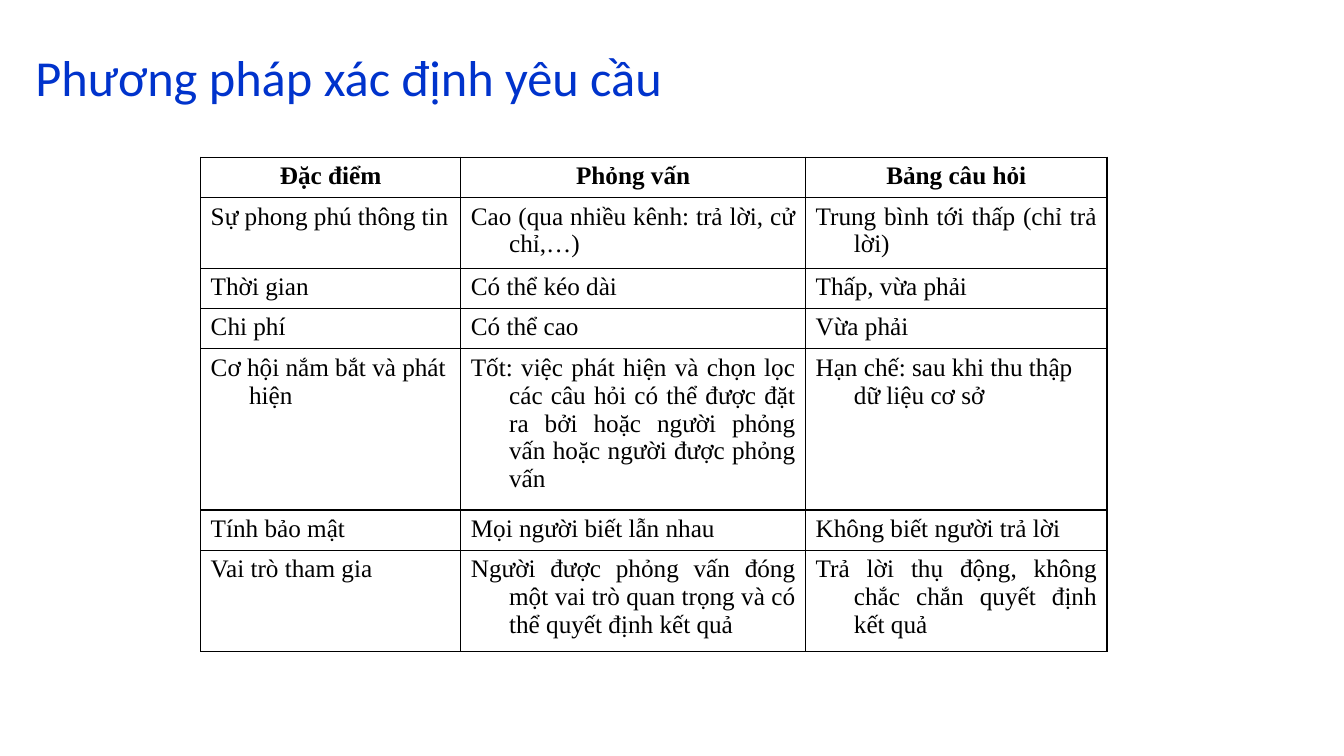
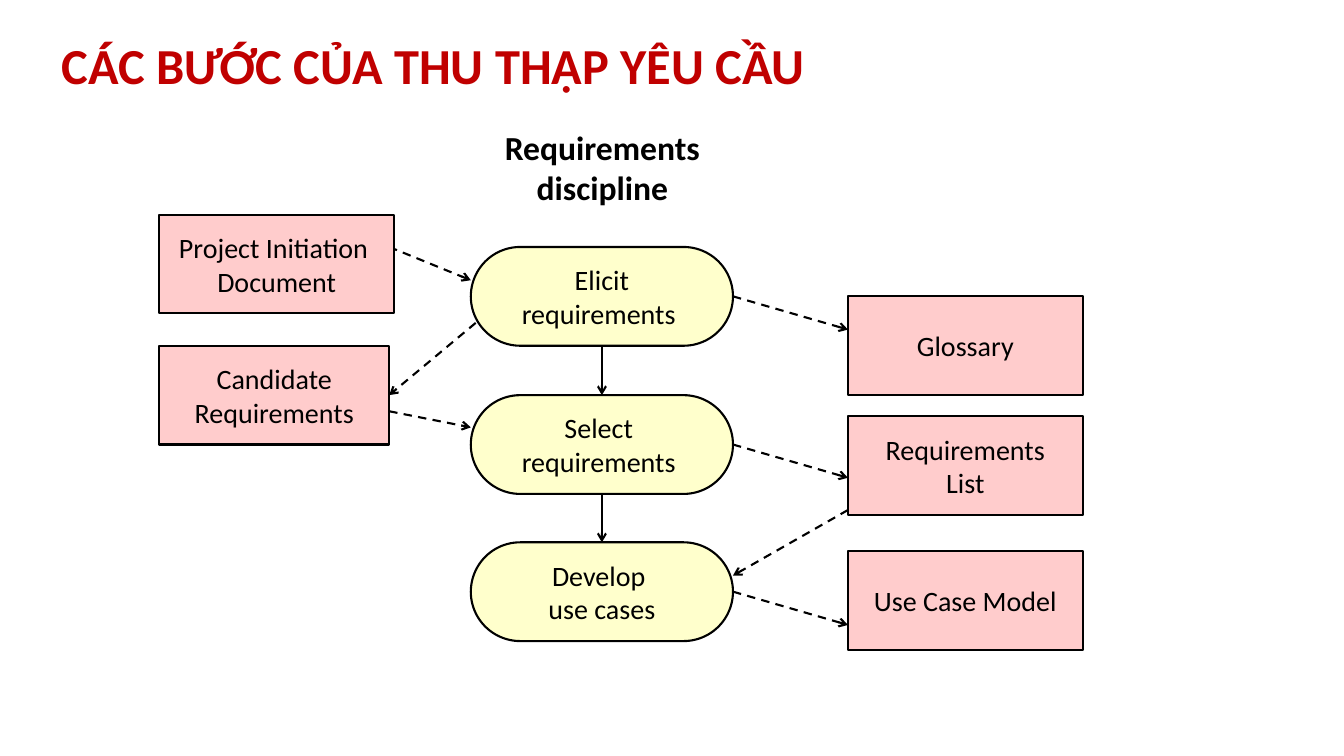
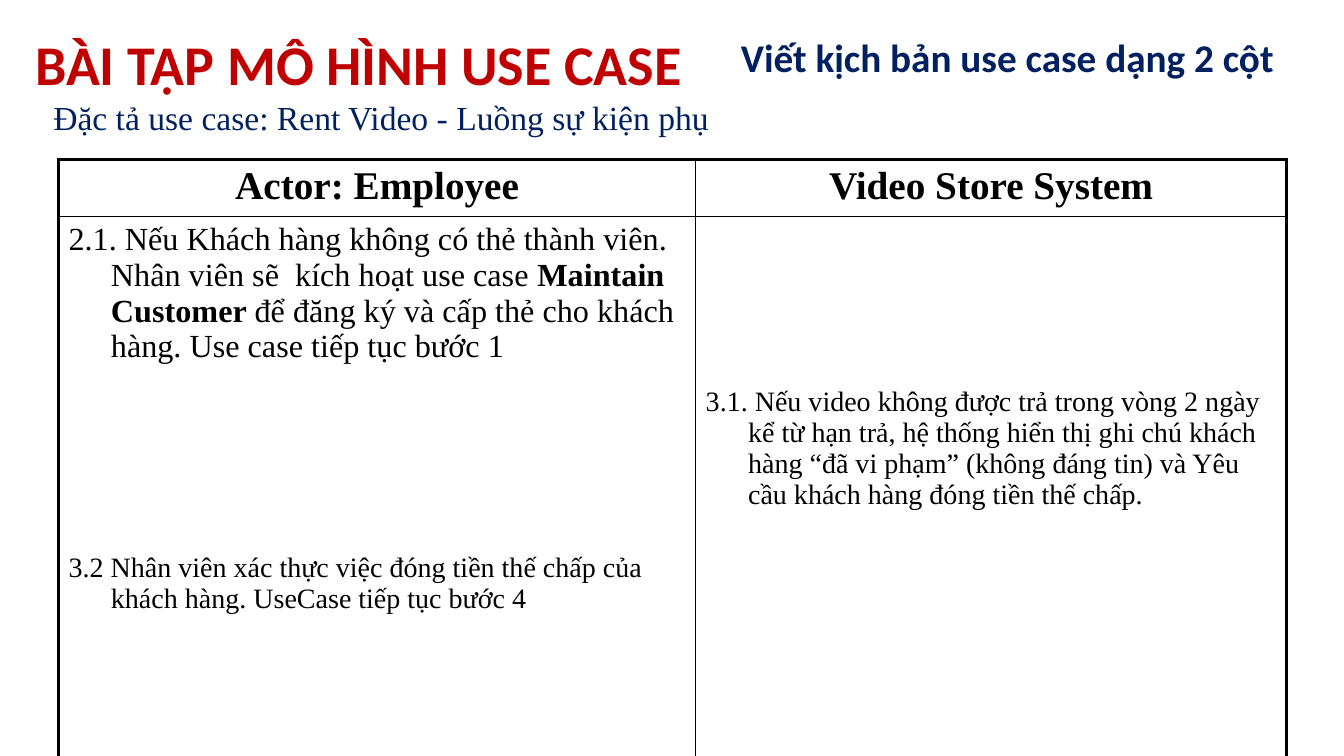
from lxml.etree import SubElement
from pptx import Presentation
from pptx.dml.color import RGBColor
from pptx.enum.dml import MSO_LINE
from pptx.enum.shapes import MSO_CONNECTOR, MSO_SHAPE
from pptx.enum.text import MSO_ANCHOR as ANCHOR, MSO_AUTO_SIZE, PP_ALIGN as ALIGN
from pptx.oxml import parse_xml
from pptx.oxml.ns import nsdecls, qn
from pptx.util import Inches, Pt

COLORS = {"blue": "0033CC", "red": "C00000", "navy": "002060", "black": "000000",
          "pink": "FFCCCC", "yellow": "FFFFCC"}
SANS, SERIF = "Calibri", "Times New Roman"


def rgb(name):
    return RGBColor.from_string(COLORS[name])


class Deck:
    """Holds the shared style and the current slide."""

    def __init__(self):
        self.prs = Presentation()
        self.prs.slide_width, self.prs.slide_height = Inches(13.33), Inches(7.5)
        self.slide = None

    def add_text(self, tf, paras, size, color="black", font=SANS, bold=False,
                 align=ALIGN.LEFT, indent=0, spacing=None):
        """Each paragraph is a string or a list of (text, bold) runs."""
        for i, runs in enumerate(paras):
            p = tf.paragraphs[0] if i == 0 else tf.add_paragraph()
            p.alignment = align
            if spacing:
                p.line_spacing = spacing
            if indent:
                pPr = p._p.get_or_add_pPr()
                pPr.set("marL", str(Inches(indent)))
                pPr.set("indent", str(-Inches(indent)))
            for text, strong in [(runs, bold)] if isinstance(runs, str) else runs:
                r = p.add_run()
                r.text = text
                r.font.size, r.font.name, r.font.bold = Pt(size), font, strong
                r.font.color.rgb = rgb(color)

    def new_slide(self, title, x, y, w, color="red", size=36, bold=True):
        self.slide = self.prs.slides.add_slide(self.prs.slide_layouts[5])
        sp = self.slide.shapes.title
        sp.left, sp.top, sp.width, sp.height = map(Inches, (x, y, w, 1))
        tf = sp.text_frame
        tf.word_wrap, tf.auto_size = True, MSO_AUTO_SIZE.NONE
        tf.vertical_anchor = ANCHOR.BOTTOM
        self.add_text(tf, [title], size, color, bold=bold, spacing=0.9)

    def text(self, paras, x, y, w, h, size, wrap=True, anchor=ANCHOR.MIDDLE, **style):
        sp = self.slide.shapes.add_textbox(*map(Inches, (x, y, w, h)))
        tf = sp.text_frame
        tf.word_wrap, tf.vertical_anchor = wrap, anchor
        self.add_text(tf, paras, size, **style)

    def box(self, paras, x, y, w, h, fill, rounded=False):
        kind = MSO_SHAPE.ROUNDED_RECTANGLE if rounded else MSO_SHAPE.RECTANGLE
        sp = self.slide.shapes.add_shape(kind, *map(Inches, (x, y, w, h)))
        if rounded:
            sp.adjustments[0] = 0.5
        sp.shadow.inherit = False
        sp.fill.solid()
        sp.fill.fore_color.rgb = rgb(fill)
        sp.line.color.rgb, sp.line.width = rgb("black"), Pt(1.5)
        tf = sp.text_frame
        tf.word_wrap, tf.vertical_anchor = False, ANCHOR.MIDDLE
        self.add_text(tf, paras, 20, align=ALIGN.CENTER)

    def arrow(self, x1, y1, x2, y2, dashed=True):
        c = self.slide.shapes.add_connector(MSO_CONNECTOR.STRAIGHT,
                                            *map(Inches, (x1, y1, x2, y2)))
        c.line.color.rgb, c.line.width = rgb("black"), Pt(1.5)
        if dashed:
            c.line.dash_style = MSO_LINE.DASH
        spPr = c._element.spPr
        SubElement(spPr.find(qn("a:ln")), qn("a:tailEnd"), type="arrow")
        SubElement(spPr, qn("a:effectLst"))

    def table(self, x, y, cols, rows):
        """Add an unfilled, unbanded table."""
        frame = self.slide.shapes.add_table(
            len(rows), len(cols), *map(Inches, (x, y, sum(cols), sum(rows))))
        tbl = frame.table
        tbl.first_row = tbl.horz_banding = False
        for col, w in zip(tbl.columns, cols):
            col.width = Inches(w)
        for row, h in zip(tbl.rows, rows):
            row.height = Inches(h)
        for cell in tbl.iter_cells():
            cell.fill.background()
        return tbl

    def borders(self, cell, left, right, top, bottom):
        """Widths in points; zero means no line."""
        tcPr = cell._tc.get_or_add_tcPr()
        for i, (side, width) in enumerate(zip("LRTB", (left, right, top, bottom))):
            paint = (f'<a:solidFill><a:srgbClr val="{COLORS["black"]}"/></a:solidFill>'
                     if width else "<a:noFill/>")
            tcPr.insert(i, parse_xml(
                f'<a:ln{side} {nsdecls("a")} w="{Pt(width)}">{paint}</a:ln{side}>'))


def comparison_slide(deck):
    deck.new_slide("Phương pháp xác định yêu cầu", 0.25, 0.12, 12.48, "blue", bold=False)
    rows = [
        ("Đặc điểm", "Phỏng vấn", "Bảng câu hỏi"),
        ("Sự phong phú thông tin", "Cao (qua nhiều kênh: trả lời, cử chỉ,…)",
         "Trung bình tới thấp (chỉ trả lời)"),
        ("Thời gian ", "Có thể kéo dài", "Thấp, vừa phải"),
        ("Chi phí", "Có thể cao", "Vừa phải"),
        ("Cơ hội nắm bắt và phát hiện",
         "Tốt: việc phát hiện và chọn lọc các câu hỏi có thể được đặt ra bởi hoặc "
         "người phỏng vấn hoặc người được phỏng vấn",
         "Hạn chế: sau khi thu thập dữ liệu cơ sở"),
        ("Tính bảo mật", "Mọi người biết lẫn nhau", "Không biết người trả lời"),
        ("Vai trò tham gia",
         "Người được phỏng vấn đóng một vai trò quan trọng và có thể quyết định kết quả",
         "Trả lời thụ động, không chắc chắn quyết định kết quả"),
    ]
    tbl = deck.table(1.99, 1.56, [2.58, 3.42, 2.99], [0.4, 0.7, 0.4, 0.4, 1.6, 0.4, 1])
    for i, row in enumerate(rows):
        for j, text in enumerate(row):
            if i == 0:
                align = ALIGN.CENTER
            elif i == 4 and j != 1:
                align = ALIGN.LEFT
            else:
                align = ALIGN.JUSTIFY
            cell = tbl.cell(i, j)
            deck.add_text(cell.text_frame, [text], 18, font=SERIF, bold=i == 0,
                          align=align, indent=0.38)
            deck.borders(cell, 1, 1, 1, 1)


def workflow_slide(deck):
    deck.new_slide("CÁC BƯỚC CỦA THU THẬP YÊU CẦU", 0.51, 0, 12.37)
    deck.text(["Requirements", "discipline"], 4.76, 1.21, 2.43, 0.9, 24, wrap=False,
              anchor=ANCHOR.TOP, bold=True, align=ALIGN.CENTER)
    height, step_x, step_w, out_x = 0.98, 4.67, 2.6, 8.41
    step_right, step_mid = step_x + step_w, step_x + step_w / 2
    step_tops = [2.45, 3.92, 5.38]

    # Arrows out of each step, and down to the next one
    for top in step_tops:
        deck.arrow(step_right, top + 0.49, out_x, top + 0.82)
    for top, below in zip(step_tops, step_tops[1:]):
        deck.arrow(step_mid, top + height, step_mid, below, dashed=False)
    # Arrows between documents and steps
    for ends in [(3.86, 2.45, step_x, 2.78), (4.83, 3.11, 3.86, 3.92),
                 (3.86, 4.08, step_x, 4.24), (out_x, 5.06, step_right, 5.71)]:
        deck.arrow(*ends)

    # Steps
    steps = [["Elicit", "requirements "], ["Select ", "requirements "],
             ["Develop ", "use cases"]]
    for top, paras in zip(step_tops, steps):
        deck.box(paras, step_x, top, step_w, height, "yellow", rounded=True)
    # Documents
    for paras, x, y, w in [
            (["Project Initiation ", "Document"], 1.58, 2.13, 2.33),
            (["Candidate", "Requirements"], 1.58, 3.43, 2.28),
            (["Glossary"], out_x, 2.94, 2.33),
            (["Requirements", "List"], out_x, 4.13, 2.33),
            (["Use Case Model"], out_x, 5.47, 2.33)]:
        deck.box(paras, x, y, w, height, "pink")


def scenario_slide(deck):
    deck.new_slide("BÀI TẬP MÔ HÌNH USE CASE", 0.25, 0.02, 9.5, size=40)
    deck.text(["Đặc tả use case: Rent Video - Luồng sự kiện phụ"],
              0.43, 0.75, 12.48, 0.83, 24, color="navy", font=SERIF)
    deck.text(["Viết kịch bản use case dạng 2 cột"], 5.49, 0.15, 9, 0.83, 28,
              color="navy", bold=True, align=ALIGN.CENTER)

    heights = [0.57, 1.51, 1.65, 0.85, 1.27]
    tbl = deck.table(0.58, 1.58, [6.32, 5.86], heights)
    for j, text in enumerate(["Actor: Employee", "Video Store System"]):
        deck.add_text(tbl.cell(0, j).text_frame, [text], 28, font=SERIF, bold=True,
                      align=ALIGN.CENTER)
    flow = [
        (1, 0, 23, [("2.1. Nếu Khách hàng không có thẻ thành viên. Nhân viên sẽ  "
                     "kích hoạt use case ", False),
                    ("Maintain Customer ", True),
                    ("để đăng ký và cấp thẻ cho khách hàng. Use case tiếp tục bước 1",
                     False)]),
        (2, 1, 20, "3.1. Nếu video không được trả trong vòng 2 ngày kể từ hạn trả, "
                   "hệ thống hiển thị ghi chú khách hàng “đã vi phạm” (không đáng tin) "
                   "và Yêu cầu khách hàng đóng tiền thế chấp."),
        (3, 0, 20, "3.2 Nhân viên xác thực việc đóng tiền thế chấp của khách hàng. "
                   "UseCase tiếp tục bước 4"),
    ]
    for i, j, size, runs in flow:
        deck.add_text(tbl.cell(i, j).text_frame, [runs], size, font=SERIF, indent=0.42)

    # Thick frame, thin column divider and header rule
    last = len(heights) - 1
    for i in range(len(heights)):
        top = {0: 2.25, 1: 1}.get(i, 0)
        bottom = {0: 1, last: 2.25}.get(i, 0)
        deck.borders(tbl.cell(i, 0), 2.25, 1, top, bottom)
        deck.borders(tbl.cell(i, 1), 1, 2.25, top, bottom)


def main():
    deck = Deck()
    comparison_slide(deck)
    workflow_slide(deck)
    scenario_slide(deck)
    deck.prs.save("out.pptx")


if __name__ == "__main__":
    main()
